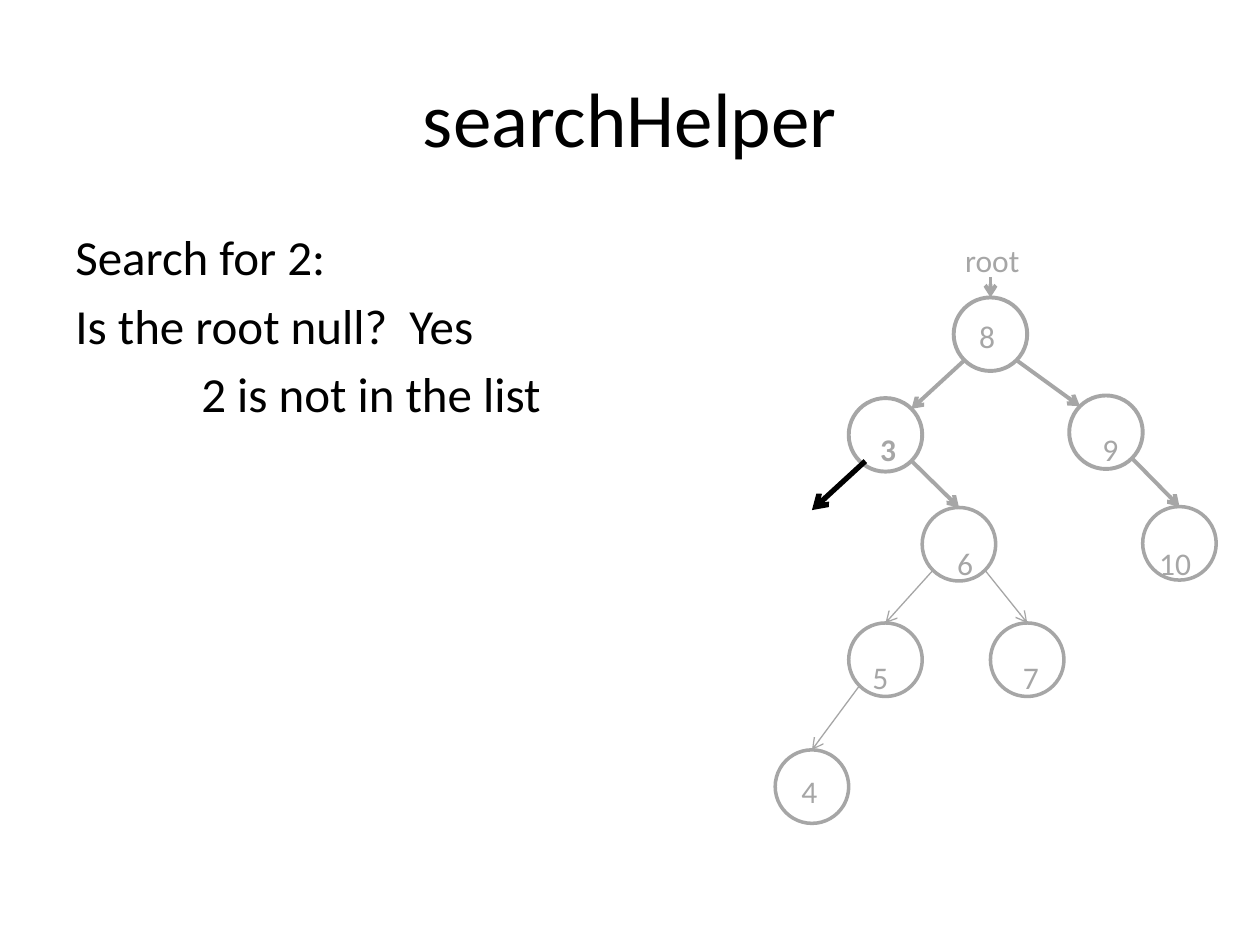
from math import sqrt
from lxml import etree
from pptx import Presentation
from pptx.dml.color import RGBColor
from pptx.enum.shapes import MSO_CONNECTOR, MSO_SHAPE
from pptx.enum.text import MSO_ANCHOR, PP_ALIGN
from pptx.oxml.ns import qn
from pptx.util import Pt

STRAIGHT = MSO_CONNECTOR.STRAIGHT
OVAL = MSO_SHAPE.OVAL
LEFT, CENTER = PP_ALIGN.LEFT, PP_ALIGN.CENTER
TOP, MIDDLE = MSO_ANCHOR.TOP, MSO_ANCHOR.MIDDLE
BLACK, GRAY = "000000", "A6A6A6"

TITLE = "searchHelper"
STEPS = [("Search for 2:", 0), ("Is the root null?  Yes", 0), ("2 is not in the list", 72)]

NODES = {
    "8": (566, 191, 2.25),
    "3": (506, 248.5, 2.25),
    "9": (632, 247, 2.25),
    "6": (548, 311, 2),
    "5": (506, 377, 2),
    "7": (587, 377, 2),
    "10": (674, 310.5, 2),
    "4": (464, 449.5, 2),
}
LABEL_ROWS = [
    [("root", 567)],
    [("8", 564)],
    [("3", 507.5), ("9", 634.5)],
    [("6", 551.5), ("10", 671.5)],
    [("5", 503), ("7", 589)],
    [("4", 462.5)],
]
ROW_CENTERS = [148.5] + [191.8 + 65 * row for row in range(5)]
EDGES = [
    ("8", "lower left", "3", "upper right", 2.25),
    ("8", "lower right", "9", "upper left", 2.25),
    ("3", "lower right", "6", "top", 2.25),
    ("9", "lower right", "10", "top", 2.25),
    ("6", "lower right", "7", "top", 0.75),
    ("6", "lower left", "5", "top", 0.75),
    ("5", "lower left", "4", "top", 0.75),
]
RADIUS = 21
DIAGONAL = RADIUS / sqrt(2)
RIM = {
    "top": (0, -RADIUS),
    "upper left": (-DIAGONAL, -DIAGONAL),
    "upper right": (DIAGONAL, -DIAGONAL),
    "lower left": (-DIAGONAL, DIAGONAL),
    "lower right": (DIAGONAL, DIAGONAL),
}


def color(value):
    return RGBColor.from_string(value)


def add_text(lines, left, top, width, height, size=18, fill=BLACK, bold=False,
             align=LEFT, anchor=TOP, gap=0):
    box = slide.shapes.add_textbox(Pt(left), Pt(top), Pt(width), Pt(height))
    frame = box.text_frame
    frame.word_wrap = True
    frame.vertical_anchor = anchor
    for index, (text, indent) in enumerate(lines):
        paragraph = frame.paragraphs[0] if index == 0 else frame.add_paragraph()
        paragraph.alignment = align
        if index and gap:
            paragraph.space_before = Pt(gap)
        if indent:
            properties = paragraph._p.get_or_add_pPr()
            properties.set("marL", str(Pt(indent)))
            properties.set("indent", "0")
        run = paragraph.add_run()
        run.text = text
        run.font.name = "Calibri"
        run.font.size = Pt(size)
        run.font.bold = bold
        run.font.color.rgb = color(fill)


def add_node(x, y, weight):
    node = slide.shapes.add_shape(OVAL, Pt(x - RADIUS), Pt(y - RADIUS),
                                  Pt(2 * RADIUS), Pt(2 * RADIUS))
    node.shadow.inherit = False
    node.fill.background()
    node.line.color.rgb = color(GRAY)
    node.line.width = Pt(weight)


def add_arrow(start, end, weight, fill=GRAY):
    arrow = slide.shapes.add_connector(STRAIGHT, *(Pt(v) for v in (*start, *end)))
    arrow.line.color.rgb = color(fill)
    arrow.line.width = Pt(weight)
    etree.SubElement(arrow.line._get_or_add_ln(), qn("a:tailEnd"), type="arrow")
    etree.SubElement(arrow._element.spPr, qn("a:effectLst"))


def rim_point(name, side):
    x, y, _ = NODES[name]
    dx, dy = RIM[side]
    return x + dx, y + dy


presentation = Presentation()
presentation.slide_width, presentation.slide_height = Pt(720), Pt(540)
slide = presentation.slides.add_slide(presentation.slide_layouts[6])

add_text([(TITLE, 0)], 36, 21.6, 648, 90, size=44, align=CENTER, anchor=MIDDLE)
add_text(STEPS, 36, 126, 427.5, 360, size=28, gap=5.6)

for node in NODES.values():
    add_node(*node)
for parent, parent_side, child, child_side, weight in EDGES:
    add_arrow(rim_point(parent, parent_side), rim_point(child, child_side), weight)
for row, center in zip(LABEL_ROWS, ROW_CENTERS):
    for label, x in row:
        add_text([(label, 0)], x - 30, center - 15, 60, 30, fill=GRAY,
                 bold=label == "3", align=CENTER, anchor=MIDDLE)

add_arrow((566, 158.5), rim_point("8", "top"), 2.25)
add_arrow((494.5, 263.5), (464, 291.5), 3, BLACK)

presentation.save("out.pptx")
